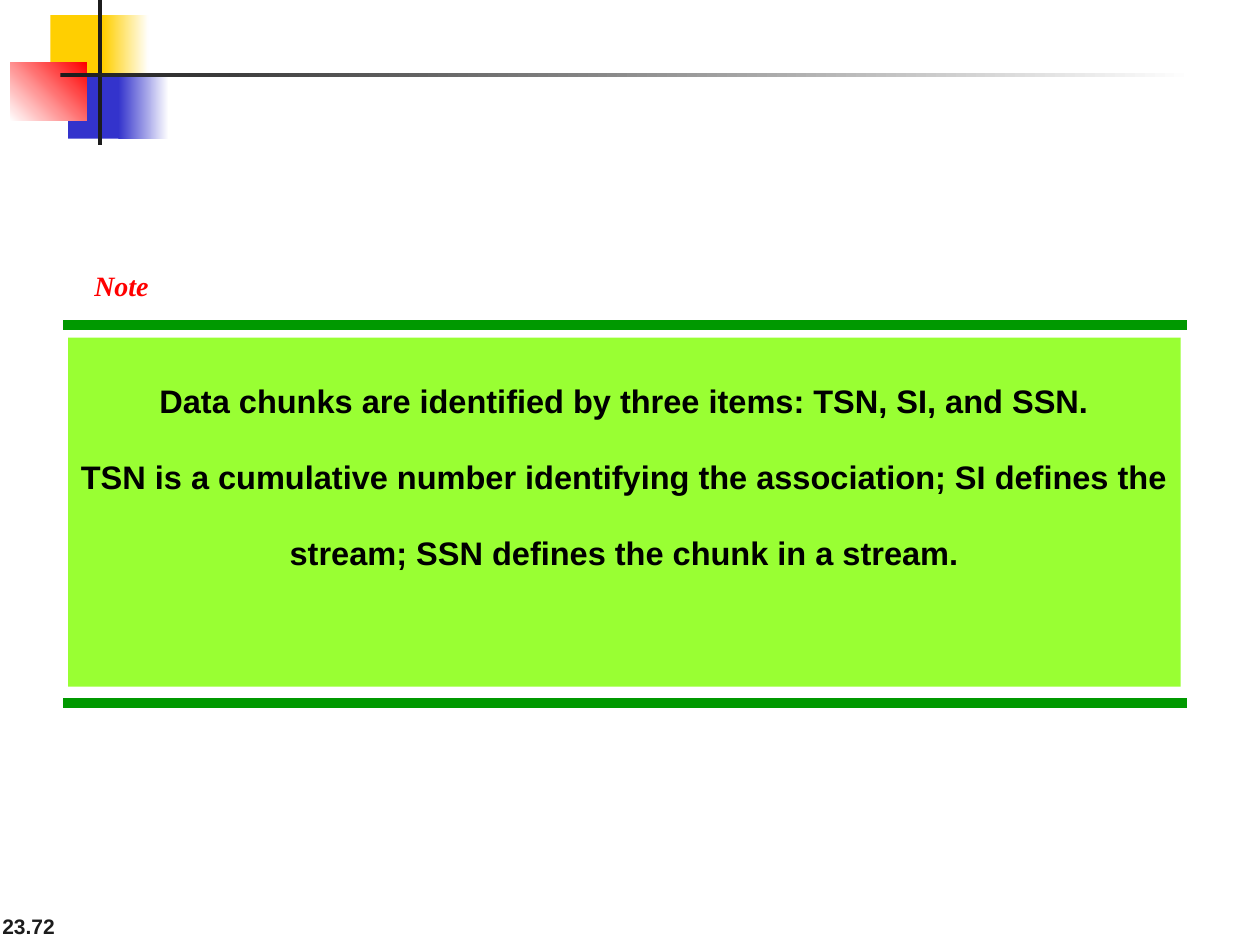
from pptx import Presentation
from pptx.dml.color import RGBColor
from pptx.enum.shapes import MSO_CONNECTOR, MSO_SHAPE
from pptx.enum.text import MSO_ANCHOR, PP_ALIGN
from pptx.oxml.ns import qn
from pptx.util import Inches, Pt

WHITE = RGBColor(0xFF, 0xFF, 0xFF)
BLACK = RGBColor(0x00, 0x00, 0x00)
CHARCOAL = RGBColor(0x1C, 0x1C, 0x1C)
YELLOW = RGBColor(0xFF, 0xCF, 0x01)
BLUE = RGBColor(0x33, 0x33, 0xCC)
RED = RGBColor(0xFF, 0x00, 0x00)
GREEN = RGBColor(0x00, 0x99, 0x00)
LIME = RGBColor(0x99, 0xFF, 0x33)

MESSAGE = (
    "Data chunks are identified by three items: TSN, SI, and SSN.",
    "TSN is a cumulative number identifying the association; SI defines the "
    "stream; SSN defines the chunk in a stream.",
)


def add_rectangle(slide, left, top, width, height, color, end_color=None, angle=0):
    """Add a borderless rectangle, fading to end_color when one is given."""
    box = slide.shapes.add_shape(
        MSO_SHAPE.RECTANGLE, Inches(left), Inches(top), Inches(width), Inches(height))
    box.shadow.inherit = False
    box.line.fill.background()
    if end_color is None:
        box.fill.solid()
        box.fill.fore_color.rgb = color
    else:
        box.fill.gradient()
        box.fill.gradient_angle = angle
        for stop, stop_color in zip(box.fill.gradient_stops, (color, end_color)):
            stop.color.rgb = stop_color
    return box


def add_rule(slide, left, right, top):
    rule = slide.shapes.add_connector(
        MSO_CONNECTOR.STRAIGHT, Inches(left), Inches(top), Inches(right), Inches(top))
    rule.line.color.rgb = GREEN
    rule.line.width = Pt(6)
    properties = rule._element.spPr
    properties.append(properties.makeelement(qn("a:effectLst"), {}))


def add_text_box(slide, left, top, width, height):
    return slide.shapes.add_textbox(
        Inches(left), Inches(top), Inches(width), Inches(height))


def write_text(box, *lines, size, color, font="Arial", italic=False, wrap=True,
               align=PP_ALIGN.LEFT, anchor=MSO_ANCHOR.TOP, spacing=1.0):
    frame = box.text_frame
    frame.word_wrap = wrap
    frame.vertical_anchor = anchor
    for index, line in enumerate(lines):
        para = frame.add_paragraph() if index else frame.paragraphs[0]
        para.alignment = align
        para.line_spacing = spacing
        span = para.add_run()
        span.text = line
        span.font.name = font
        span.font.size = Pt(size)
        span.font.bold = True
        span.font.italic = italic
        span.font.color.rgb = color


def add_corner_ornament(slide):
    add_rectangle(slide, 0.4, 0.12, 0.48, 0.52, YELLOW)
    add_rectangle(slide, 0.82, 0.12, 0.36, 0.52, YELLOW, WHITE)
    add_rectangle(slide, 0.54, 0.58, 0.46, 0.52, BLUE)
    add_rectangle(slide, 0.94, 0.58, 0.4, 0.52, BLUE, WHITE)
    add_rectangle(slide, 0.08, 0.5, 0.61, 0.46, WHITE, RED, angle=45)
    add_rectangle(slide, 0.78, 0, 0.03, 1.15, CHARCOAL)
    add_rectangle(slide, 0.48, 0.58, 9, 0.03, CHARCOAL, WHITE)


def main():
    deck = Presentation()
    deck.slide_width, deck.slide_height = Inches(10), Inches(7.5)
    slide = deck.slides.add_slide(deck.slide_layouts[6])

    page_number = add_text_box(slide, -0.08, 7, 2.08, 0.5)
    write_text(page_number, "23.72", size=12, color=CHARCOAL, anchor=MSO_ANCHOR.BOTTOM)
    add_corner_ornament(slide)

    for top in (2.58, 5.58):
        add_rule(slide, 0.5, 9.42, top)
    panel = add_rectangle(slide, 0.54, 2.68, 8.83, 2.77, LIME)
    write_text(panel, *MESSAGE, size=18.6, color=BLACK,
               align=PP_ALIGN.CENTER, spacing=1.95)

    note = add_text_box(slide, 0.65, 1.83, 0.96, 0.57)
    note.text_frame.margin_bottom = 0
    write_text(note, "Note", size=16, color=RED, font="Times New Roman",
               italic=True, wrap=False, anchor=MSO_ANCHOR.BOTTOM)

    deck.save("out.pptx")


if __name__ == "__main__":
    main()
